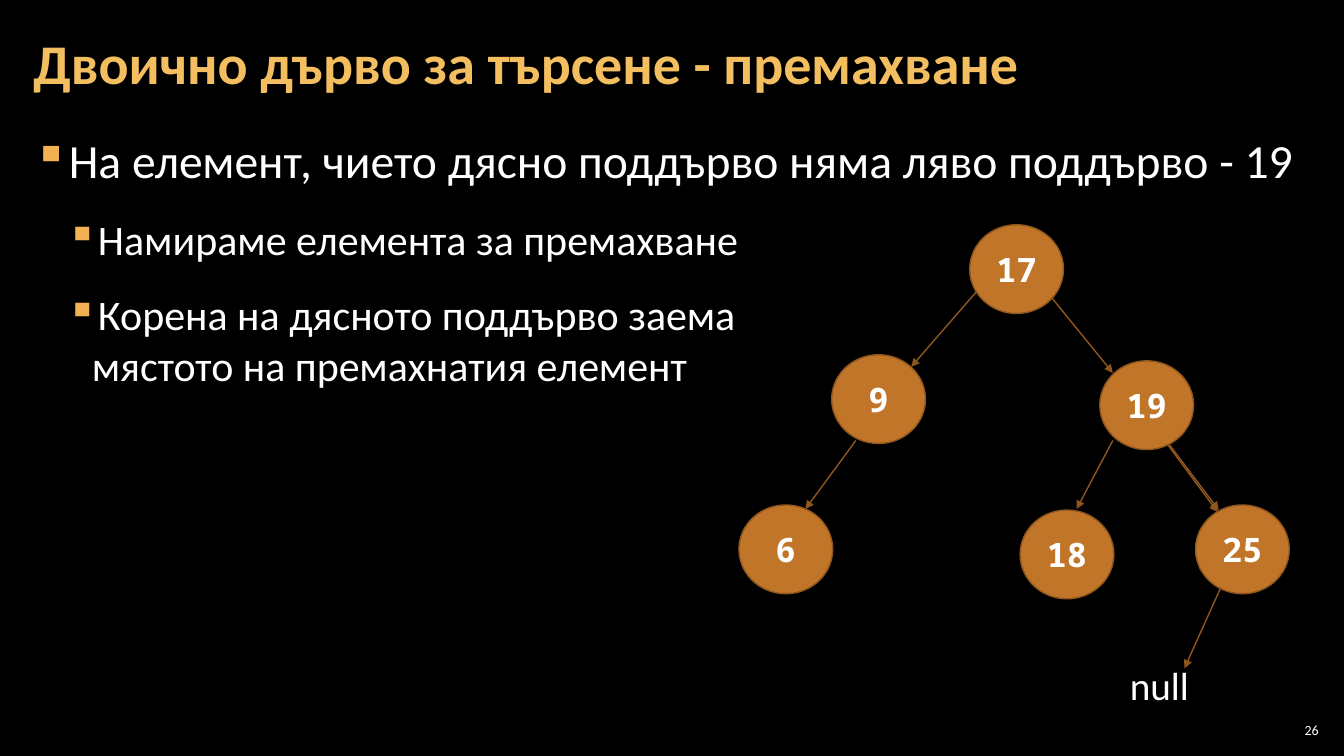
from dataclasses import dataclass

from lxml.etree import SubElement
from pptx import Presentation
from pptx.dml.color import RGBColor
from pptx.enum.shapes import MSO_CONNECTOR, MSO_SHAPE
from pptx.enum.text import MSO_ANCHOR, PP_ALIGN
from pptx.oxml.ns import qn
from pptx.util import Emu, Inches, Pt


@dataclass(frozen=True)
class Theme:
    background: str = "000000"
    text: str = "FFFFFF"
    title: str = "F3BE60"
    bullet: str = "F2B254"
    node: str = "C17529"
    edge: str = "8F571E"
    font: str = "Calibri"
    mono: str = "Noto Sans Mono"
    title_pt: int = 40
    level_pt: tuple = (34, 30)
    null_pt: int = 28
    node_pt: int = 24
    page_pt: int = 10


# Positions and sizes are percentages of the slide's width and height
@dataclass(frozen=True)
class Box:
    left: float
    top: float
    width: float
    height: float


@dataclass(frozen=True)
class Node:
    label: str
    left: float
    top: float


@dataclass(frozen=True)
class Edge:
    x1: float
    y1: float
    x2: float
    y2: float


@dataclass(frozen=True)
class Bullet:
    level: int
    lines: tuple


THEME = Theme()
WIDTH, HEIGHT = Inches(13.33), Inches(7.5)
NODE_W, NODE_H = 6.98, 11.73
LEVEL_INDENT = (0.25, 0.58)

BULLETS = (
    Bullet(0, ("На елемент, чието дясно поддърво няма ляво поддърво - 19",)),
    Bullet(1, ("Намираме елемента за премахване",)),
    Bullet(1, ("Корена на дясното поддърво заема",
               "мястото на премахнатия елемент")),
)
NODES = (
    Node("17", 72.15, 29.73),
    Node("9", 61.88, 46.93),
    Node("19", 81.83, 47.73),
    Node("6", 54.98, 66.8),
    Node("18", 75.9, 67.47),
    Node("25", 88.95, 66.8),
)
EDGES = (
    Edge(72.68, 38.53, 67.8, 48.53),    # 17 to 9
    Edge(78.23, 39.33, 82.8, 49.33),    # 17 to 19
    Edge(63.68, 58.27, 59.93, 67.33),   # 9 to 6
    Edge(82.8, 58.27, 80.1, 67.33),     # 19 to 18
    Edge(87, 58.8, 90.68, 67.47),       # 19 to 25
    Edge(86.93, 58.93, 90.6, 67.73),    # 19 to 25, doubled
    Edge(90.83, 77.73, 88.13, 88.4),    # 25 to null
)


def px(share: float) -> Emu:
    return Emu(round(WIDTH * share / 100))


def py(share: float) -> Emu:
    return Emu(round(HEIGHT * share / 100))


def place(box: Box) -> tuple:
    return px(box.left), py(box.top), px(box.width), py(box.height)


def rgb(value: str) -> RGBColor:
    return RGBColor.from_string(value)


def add_run(p, text: str, size: int, color: str = THEME.text,
            font: str = THEME.font, bold: bool = False) -> None:
    r = p.add_run()
    r.text = text
    r.font.size, r.font.name, r.font.bold = Pt(size), font, bold
    r.font.color.rgb = rgb(color)


def add_text_box(s, box: Box, inset: tuple, wrap: bool = True,
                 anchor: MSO_ANCHOR = MSO_ANCHOR.TOP):
    tf = s.shapes.add_textbox(*place(box)).text_frame
    tf.word_wrap, tf.vertical_anchor = wrap, anchor
    tf.margin_left = tf.margin_right = Inches(inset[0])
    tf.margin_top = tf.margin_bottom = Inches(inset[1])
    return tf


def add_bullet(p, bullet: Bullet) -> None:
    p.level = bullet.level
    p.space_before, p.space_after = Pt(12), Pt(6)
    pPr = p._p.get_or_add_pPr()
    pPr.set("marL", str(Inches(LEVEL_INDENT[bullet.level])))
    pPr.set("indent", str(Inches(-0.25)))
    color = SubElement(pPr, qn("a:buClr"))
    SubElement(color, qn("a:srgbClr"), val=THEME.bullet)
    SubElement(pPr, qn("a:buChar"), char="▪")
    for i, line in enumerate(bullet.lines):
        if i:
            p.add_line_break()
        add_run(p, line, THEME.level_pt[bullet.level])


def add_node(s, node: Node) -> None:
    box = Box(node.left, node.top, NODE_W, NODE_H)
    sp = s.shapes.add_shape(MSO_SHAPE.OVAL, *place(box))
    sp.shadow.inherit = False
    sp.fill.solid()
    sp.fill.fore_color.rgb = rgb(THEME.node)
    sp.line.color.rgb = rgb(THEME.edge)
    sp.line.width = Pt(1)
    tf = sp.text_frame
    tf.vertical_anchor = MSO_ANCHOR.MIDDLE
    p = tf.paragraphs[0]
    p.alignment = PP_ALIGN.CENTER
    add_run(p, node.label, THEME.node_pt, font=THEME.mono, bold=True)


def add_edge(s, edge: Edge) -> None:
    line = s.shapes.add_connector(MSO_CONNECTOR.STRAIGHT, px(edge.x1), py(edge.y1),
                                  px(edge.x2), py(edge.y2))
    line.line.color.rgb = rgb(THEME.edge)
    line.line.width = Pt(1)
    SubElement(line.line._get_or_add_ln(), qn("a:tailEnd"), type="triangle")
    SubElement(line._element.spPr, qn("a:effectLst"))


def main() -> None:
    prs = Presentation()
    prs.slide_width, prs.slide_height = WIDTH, HEIGHT
    s = prs.slides.add_slide(prs.slide_layouts[6])
    s.background.fill.solid()
    s.background.fill.fore_color.rgb = rgb(THEME.background)

    # Title
    tf = add_text_box(s, Box(1.58, 0.67, 78.53, 16.13), (0.12, 0.04),
                      anchor=MSO_ANCHOR.MIDDLE)
    p = tf.paragraphs[0]
    p.line_spacing = 0.9
    add_run(p, "Двоично дърво за търсене - премахване", THEME.title_pt,
            THEME.title, bold=True)

    # Bulleted explanation
    tf = add_text_box(s, Box(1.58, 16.8, 96.83, 81.2), (0.12, 0.04))
    for i, bullet in enumerate(BULLETS):
        add_bullet(tf.add_paragraph() if i else tf.paragraphs[0], bullet)

    # Tree
    for node in NODES:
        add_node(s, node)
    for edge in EDGES:
        add_edge(s, edge)
    tf = add_text_box(s, Box(83.33, 86.8, 5.93, 7.6), (0.1, 0.05), wrap=False)
    add_run(tf.paragraphs[0], "null", THEME.null_pt)

    # Page number
    tf = add_text_box(s, Box(94.88, 95.2, 3.53, 2.8), (0.04, 0.04),
                      anchor=MSO_ANCHOR.MIDDLE)
    p = tf.paragraphs[0]
    p.alignment = PP_ALIGN.RIGHT
    add_run(p, "26", THEME.page_pt)

    prs.save("out.pptx")


if __name__ == "__main__":
    main()
